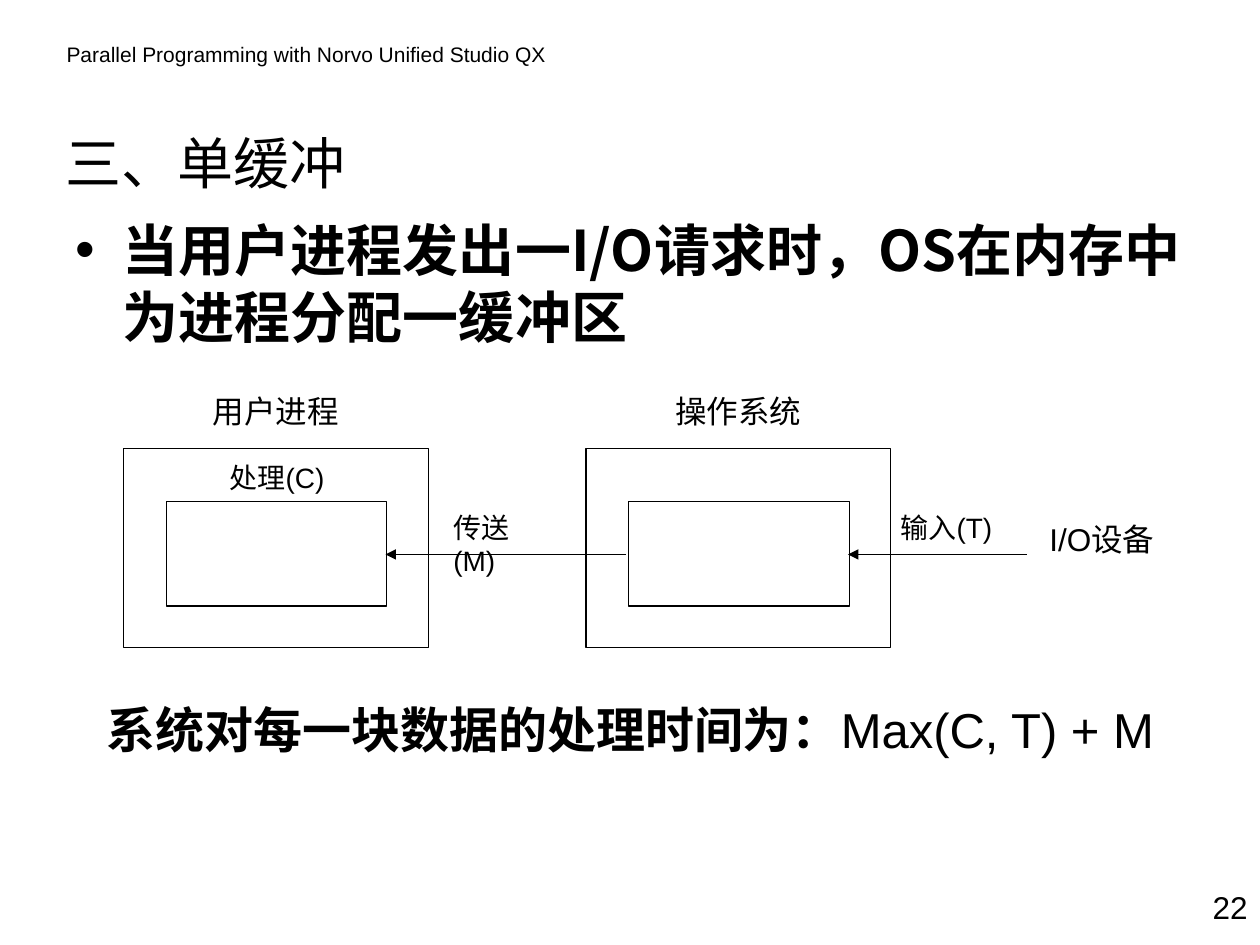
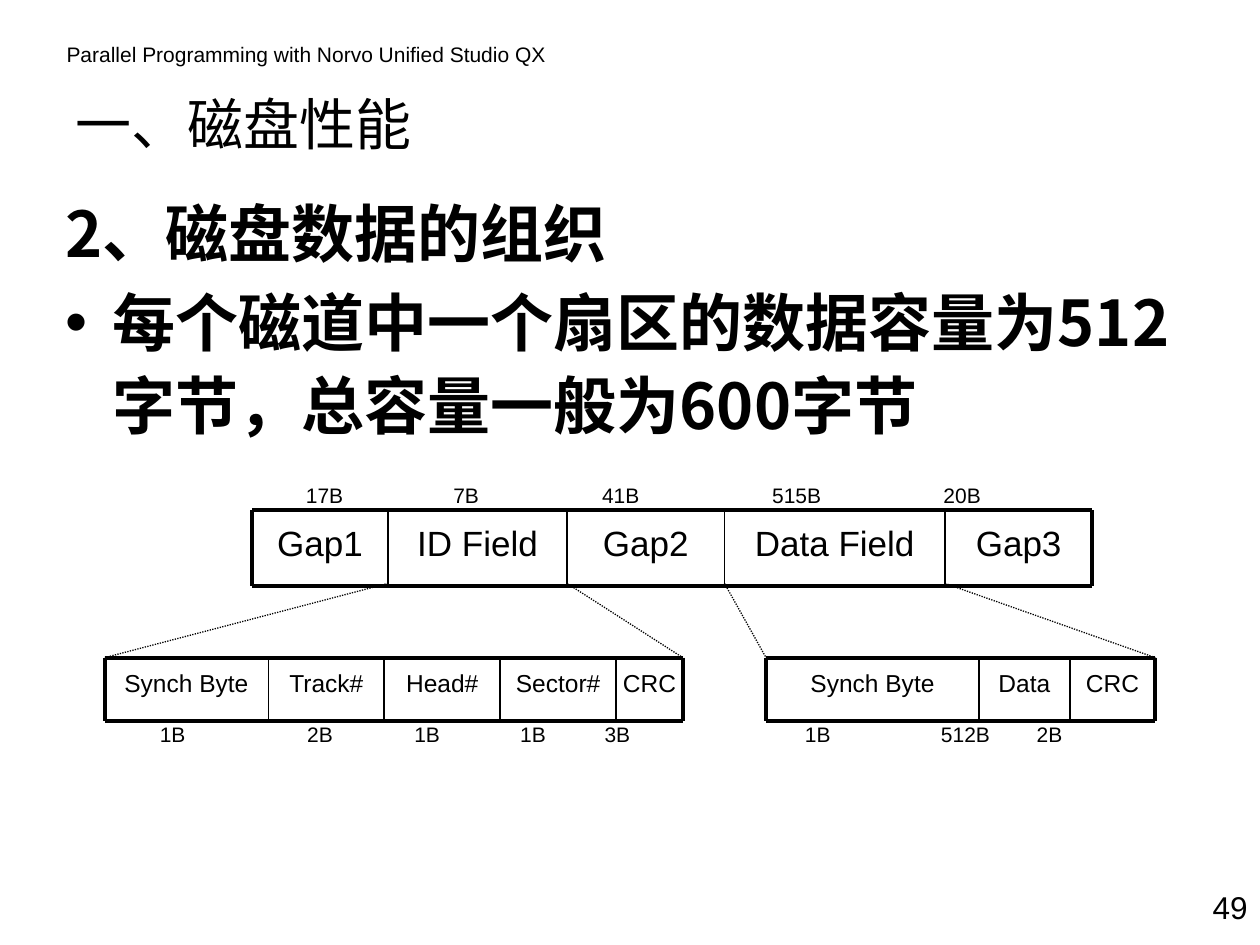
from itertools import accumulate

from lxml.etree import SubElement
from pptx import Presentation
from pptx.dml.color import RGBColor
from pptx.enum.dml import MSO_LINE
from pptx.enum.shapes import MSO_CONNECTOR, MSO_SHAPE
from pptx.enum.text import MSO_ANCHOR, MSO_AUTO_SIZE, PP_ALIGN
from pptx.oxml.ns import qn
from pptx.util import Inches, Pt

BLACK = "000000"
LATIN_FONT = "Arial"
CHINESE_FONT = "Noto Sans CJK SC"
HEADER = "Parallel Programming with Norvo Unified Studio QX"
THIN, INNER, THICK = 0.75, 1, 2.25


def color(hex_string):
    return RGBColor.from_string(hex_string)


def write(paragraph, text, size=18, bold=False, font_name=LATIN_FONT, align=PP_ALIGN.LEFT):
    """Append a formatted run to the paragraph."""
    paragraph.alignment = align
    run = paragraph.add_run()
    run.text = text
    run.font.size = Pt(size)
    run.font.bold = bold
    run.font.name = font_name
    run.font.color.rgb = color(BLACK)
    SubElement(run._r.get_or_add_rPr(), qn("a:ea"), typeface=CHINESE_FONT)


def place(shape, left, top, width, height):
    shape.left, shape.top = Inches(left), Inches(top)
    shape.width, shape.height = Inches(width), Inches(height)


def add_label(slide, box, text="", margins=(0.1, 0.05), **text_format):
    """Add a wrapping text box; margins are (side, top)."""
    shape = slide.shapes.add_textbox(*map(Inches, box))
    frame = shape.text_frame
    frame.word_wrap = True
    frame.margin_left = frame.margin_right = Inches(margins[0])
    frame.margin_top = Inches(margins[1])
    if text:
        write(frame.paragraphs[0], text, **text_format)
    return shape


def add_tabbed_label(slide, box, entries, tab_stops):
    """Add a line of entries, each after the first at its own tab stop."""
    paragraph = add_label(slide, box).text_frame.paragraphs[0]
    tab_list = SubElement(paragraph._p.get_or_add_pPr(), qn("a:tabLst"))
    for stop in tab_stops:
        SubElement(tab_list, qn("a:tab"), pos=str(Inches(stop)), algn="l")
    write(paragraph, "\t".join(entries), size=12)


def add_line(slide, start, end, width=THIN, dotted=False, arrow=False):
    connector = slide.shapes.add_connector(
        MSO_CONNECTOR.STRAIGHT, *map(Inches, (*start, *end)))
    connector.line.color.rgb = color(BLACK)
    connector.line.width = Pt(width)
    if dotted:
        connector.line.dash_style = MSO_LINE.ROUND_DOT
    properties = connector.element.spPr
    if arrow:
        SubElement(properties.find(qn("a:ln")), qn("a:tailEnd"), type="triangle")
    SubElement(properties, qn("a:effectLst"))


def add_frame(slide, *box):
    shape = slide.shapes.add_shape(MSO_SHAPE.RECTANGLE, *map(Inches, box))
    shape.shadow.inherit = False
    shape.fill.background()
    shape.line.color.rgb = color(BLACK)
    shape.line.width = Pt(THIN)


def add_record(slide, left, top, height, fields, **text_format):
    """Draw a row of (name, width) fields with a thick outline and thin dividers."""
    edges = list(accumulate((width for _, width in fields), initial=left))
    bottom, right = top + height, edges[-1]
    for (name, width), edge in zip(fields, edges):
        add_label(slide, (edge, top, width, height), name,
                  align=PP_ALIGN.CENTER, **text_format)
    for y in (top, bottom):
        add_line(slide, (left, y), (right, y), THICK)
    for x in edges:
        add_line(slide, (x, top), (x, bottom), THICK if x in (left, right) else INNER)
    return edges


def add_header(slide):
    """Put the running header on the layout that all slides share."""
    header = add_label(slide, (0.43, 0.28, 4.8, 0.3), HEADER, size=12)
    slide.slide_layout.shapes.element.append(header.element)


def add_content_slide(presentation, title, title_box, body_box, number):
    """Add a slide with title and page number; return it and its body frame."""
    slide = presentation.slides.add_slide(presentation.slide_layouts[1])
    title_shape, body = slide.placeholders
    for shape, box in ((title_shape, title_box), (body, body_box)):
        place(shape, *box)
        shape.text_frame.auto_size = MSO_AUTO_SIZE.NONE
    title_shape.text_frame.vertical_anchor = MSO_ANCHOR.MIDDLE
    write(title_shape.text_frame.paragraphs[0], title, size=32, font_name=CHINESE_FONT)
    add_label(slide, (9.33, 7, 0.67, 0.5), number, align=PP_ALIGN.RIGHT)
    return slide, body.text_frame


def build_single_buffer(presentation):
    slide, body = add_content_slide(
        presentation, "三、单缓冲", (0.42, 0.91, 5.67, 0.75), (0.5, 1.66, 9.29, 1.67), "22")
    add_header(slide)
    body.paragraphs[0].space_before = Pt(0)
    write(body.paragraphs[0], "当用户进程发出一I/O请求时，OS在内存中为进程分配一缓冲区",
          size=32, bold=True, font_name=CHINESE_FONT)

    for left, owner in ((0.98, "用户进程"), (4.65, "操作系统")):
        add_frame(slide, left, 3.56, 2.42, 1.58)
        add_frame(slide, left + 0.34, 3.98, 1.75, 0.83)
        add_label(slide, (left + 0.5, 3.06, 1.42, 0.4), owner, align=PP_ALIGN.CENTER)
    for start, end in ((8.15, 6.73), (4.97, 3.06)):
        add_line(slide, (start, 4.4), (end, 4.4), arrow=True)

    add_label(slide, (8.23, 4.08, 1.08, 0.4), "I/O设备")
    add_label(slide, (7.05, 4, 0.95, 0.37), "输入(T)", size=16)
    add_label(slide, (3.5, 4, 0.94, 0.37), "传送(M)", size=16)
    add_label(slide, (1.61, 3.61, 1.18, 0.37), "处理(C)", size=16, align=PP_ALIGN.CENTER)

    formula = add_label(slide, (0.75, 5.5, 8.82, 0.57),
                        "系统对每一块数据的处理时间为：", size=28, bold=True)
    write(formula.text_frame.paragraphs[0], "Max(C, T) + M", size=28)


def build_disk_format(presentation):
    slide, body = add_content_slide(
        presentation, "一、磁盘性能", (0.5, 0.6, 5.08, 0.75), (0.42, 1.43, 9.33, 4.5), "49")
    heading, capacity = body.paragraphs[0], body.add_paragraph()
    SubElement(heading._p.get_or_add_pPr(), qn("a:buNone"))
    for paragraph, text, space in (
            (heading, "2、磁盘数据的组织", 0),
            (capacity, "每个磁道中一个扇区的数据容量为512字节，总容量一般为600字节", 3.6)):
        paragraph.line_spacing = 1.1
        paragraph.space_before = Pt(space)
        write(paragraph, text, size=36, bold=True, font_name=CHINESE_FONT)

    sector = add_record(
        slide, 2, 4.05, 0.6,
        [("Gap1", 1.08), ("ID Field", 1.42), ("Gap2", 1.25), ("Data Field", 1.75),
         ("Gap3", 1.17)],
        size=20, margins=(0.1, 0.09))
    detail = {"size": 14, "margins": (0, 0.08)}
    id_field = add_record(
        slide, 0.83, 5.22, 0.5,
        [("Synch Byte", 1.3), ("Track#", 0.92), ("Head#", 0.92), ("Sector#", 0.92),
         ("CRC", 0.53)],
        **detail)
    data_field = add_record(
        slide, 6.08, 5.22, 0.5,
        [("Synch Byte", 1.69), ("Data", 0.72), ("CRC", 0.68)],
        **detail)

    detail_ends = (id_field[0], id_field[-1], data_field[0], data_field[-1])
    for field_edge, detail_end in zip(sector[1:5], detail_ends):
        add_line(slide, (field_edge, 4.63), (detail_end, 5.22), dotted=True)

    add_tabbed_label(slide, (2.33, 3.78, 6.17, 0.3),
                     ["17B", "7B", "41B", "515B", "20B"], [1.17, 2.35, 3.7, 5.06])
    add_tabbed_label(slide, (1.17, 5.68, 8, 0.3),
                     ["1B", "2B", "1B", "1B", "3B", "1B", "512B", "2B"],
                     [1.17, 2.02, 2.86, 3.53, 5.12, 6.2, 6.96])


def main():
    presentation = Presentation()
    presentation.slide_width, presentation.slide_height = Inches(10), Inches(7.5)
    build_single_buffer(presentation)
    build_disk_format(presentation)
    presentation.save("out.pptx")


if __name__ == "__main__":
    main()
